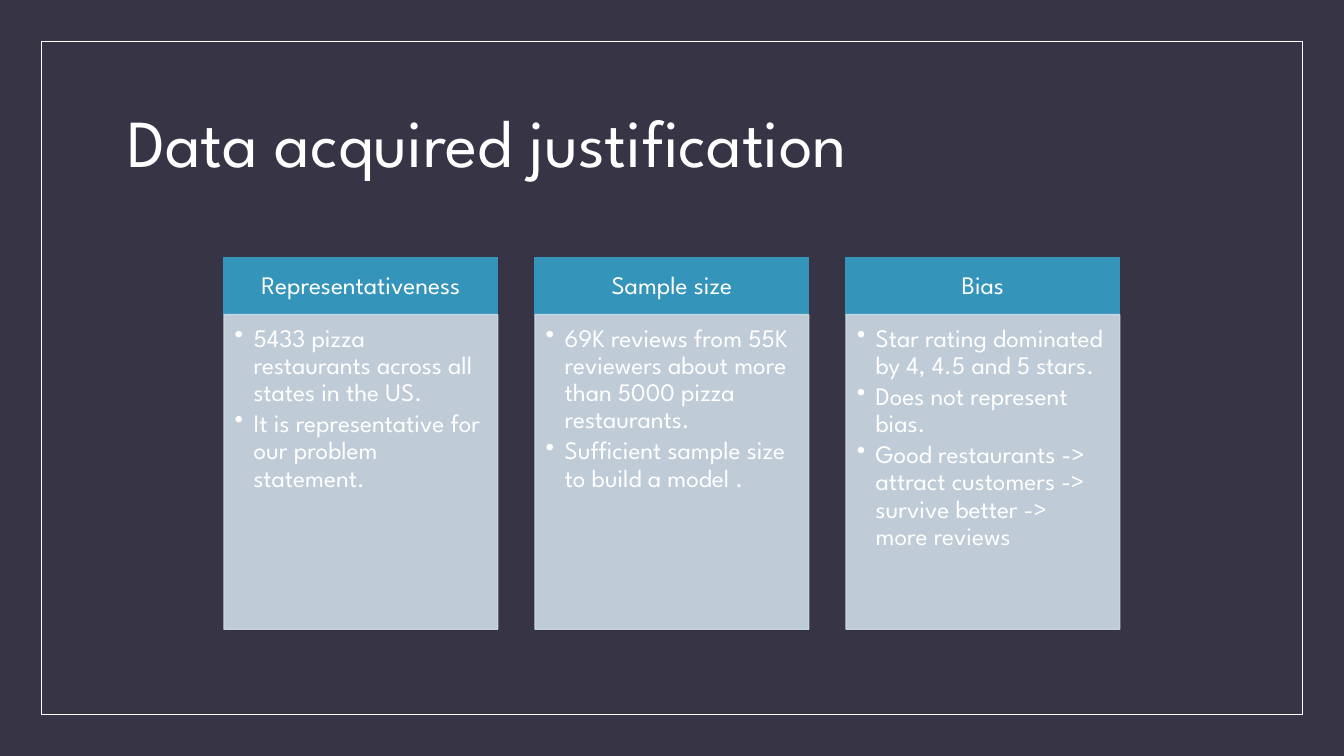
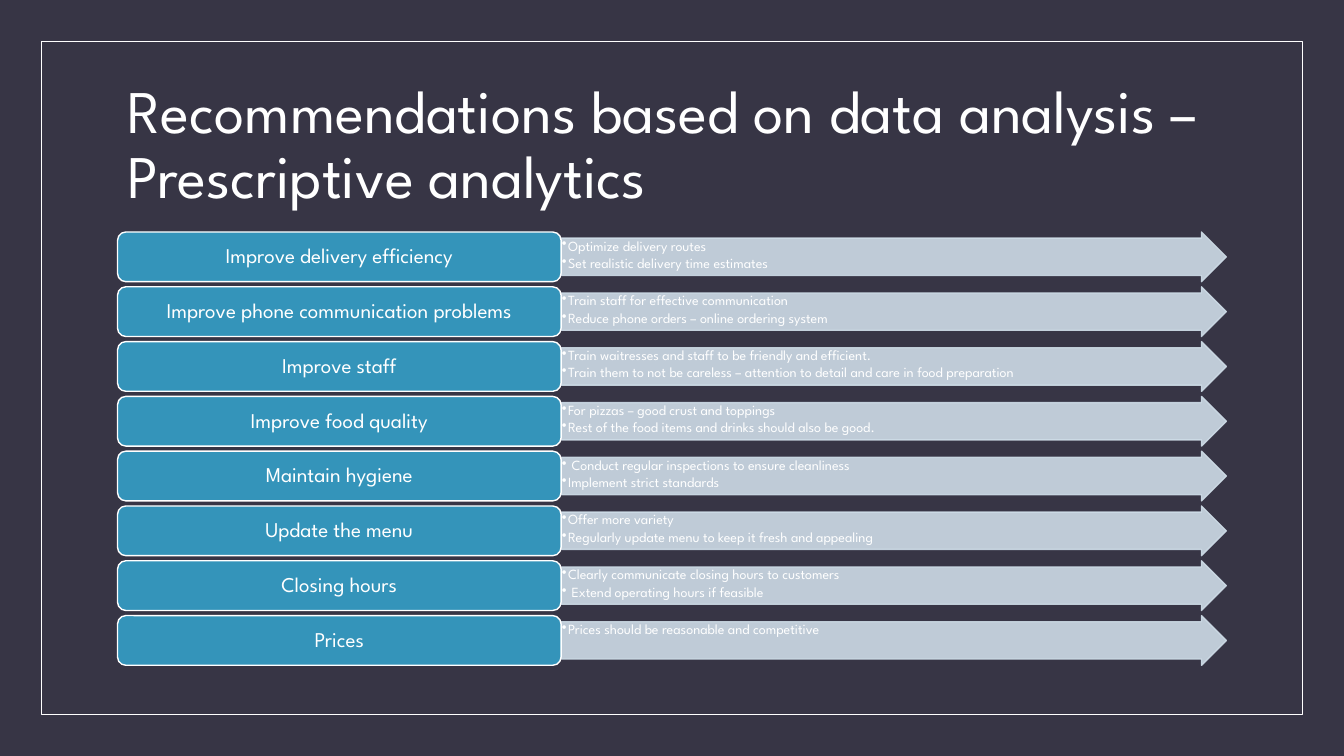
from dataclasses import dataclass

from lxml import etree
from pptx import Presentation
from pptx import util as u
from pptx.dml import color
from pptx.enum import shapes, text
from pptx.oxml import ns

Pt = u.Pt
SHAPE = shapes.MSO_SHAPE
MIDDLE = text.MSO_ANCHOR.MIDDLE
TOP = text.MSO_ANCHOR.TOP
LEFT = text.PP_ALIGN.LEFT
CENTER = text.PP_ALIGN.CENTER


@dataclass(frozen=True)
class Theme:
    font: str = "League Spartan"
    background: str = "373545"
    accent: str = "3494BA"
    pale: str = "CEDCE7"
    white: str = "FFFFFF"
    pale_opacity: int = 90
    title_size: float = 48
    long_title_size: float = 43.2
    card_size: float = 18
    label_size: float = 15
    detail_size: float = 10


def rgb(value):
    return color.RGBColor.from_string(value)


def apply(target, values):
    for name, value in values.items():
        setattr(target, name, value)


class Deck:
    width, height, margin = 960, 540, 29.5

    def __init__(self, theme):
        self.theme = theme
        self.presentation = Presentation()
        apply(self.presentation, {
            "slide_width": Pt(self.width), "slide_height": Pt(self.height)})
        self.slide = None

    def add_slide(self, title, size):
        layout = self.presentation.slide_layouts[6]
        self.slide = self.presentation.slides.add_slide(layout)
        background = self.slide.background.fill
        background.solid()
        background.fore_color.rgb = rgb(self.theme.background)
        margin = self.margin
        self.box(SHAPE.RECTANGLE, (margin, margin, self.width - 2 * margin,
                                   self.height - 2 * margin),
                 None, self.theme.white, line_width=0.5)
        title_box = self.slide.shapes.add_textbox(
            *map(Pt, (84, 50.4, 792, 108)))
        self.fill_text(title_box, [title], size, (7.2, 3.6, 7.2, 3.6),
                       anchor=MIDDLE)

    def box(self, kind, place, fill, line, line_width=1, opacity=100):
        shape = self.slide.shapes.add_shape(kind, *map(Pt, place))
        shape.shadow.inherit = False
        if fill:
            shape.fill.solid()
            shape.fill.fore_color.rgb = rgb(fill)
        else:
            shape.fill.background()
        shape.line.color.rgb = rgb(line)
        shape.line.width = Pt(line_width)
        if opacity < 100:
            for tint in shape._element.spPr.iter(ns.qn("a:srgbClr")):
                alpha = etree.SubElement(tint, ns.qn("a:alpha"))
                alpha.set("val", str(opacity * 1000))
        return shape

    def fill_text(self, shape, lines, size, insets, anchor=TOP, align=LEFT,
                  space=0, indent=0):
        frame = shape.text_frame
        sides = ("margin_left", "margin_top", "margin_right", "margin_bottom")
        apply(frame, dict(zip(sides, map(Pt, insets))))
        apply(frame, {"word_wrap": True, "vertical_anchor": anchor})
        for index, line in enumerate(lines):
            paragraph = frame.add_paragraph() if index else frame.paragraphs[0]
            apply(paragraph, {"alignment": align, "line_spacing": 0.9,
                              "space_after": Pt(space * size)})
            if indent:
                self.bullet(paragraph, indent)
            run = paragraph.add_run()
            run.text = line
            apply(run.font, {"name": self.theme.font, "size": Pt(size)})
            run.font.color.rgb = rgb(self.theme.white)

    def bullet(self, paragraph, indent):
        properties = paragraph._p.get_or_add_pPr()
        properties.set("marL", str(Pt(indent)))
        properties.set("indent", str(-Pt(indent)))
        mark = etree.SubElement(properties, ns.qn("a:buChar"))
        mark.set("char", "•")

    def label(self, kind, place, caption, size, insets, line):
        shape = self.box(kind, place, self.theme.accent, line)
        self.fill_text(shape, [caption], size, insets, MIDDLE, CENTER,
                       space=0.35)

    def details(self, kind, place, lines, size, insets, indent):
        shape = self.box(kind, place, self.theme.pale, self.theme.pale,
                         opacity=self.theme.pale_opacity)
        if kind == SHAPE.RIGHT_ARROW:
            shape.adjustments[0] = 0.75
        self.fill_text(shape, lines, size, insets, space=0.15, indent=indent)

    def card(self, left, caption, lines):
        top, width, header, body = 183.75, 195.5, 41, 224.75
        size = self.theme.card_size
        self.label(SHAPE.RECTANGLE, (left, top, width, header), caption, size,
                   (10.24, 5.85, 10.24, 5.85), self.theme.accent)
        self.details(SHAPE.RECTANGLE, (left, top + header, width, body), lines,
                     size, (7.68, 7.68, 10.24, 11.52), 13.5)

    def recommendation(self, top, caption, lines):
        left, label_width, arrow_width, height = 84, 316.8, 475.2, 35.5
        self.details(SHAPE.RIGHT_ARROW,
                     (left + label_width, top, arrow_width, height), lines,
                     self.theme.detail_size, (0.5,) * 4, 4.5)
        self.label(SHAPE.ROUNDED_RECTANGLE, (left, top, label_width, height),
                   caption, self.theme.label_size, (4.5, 2.25, 4.5, 2.25),
                   self.theme.white)


CARDS = [
    ("Representativeness", [
        "5433 pizza restaurants across all states in the US.",
        "It is representative for our problem statement."]),
    ("Sample size", [
        "69K reviews from 55K reviewers about more than 5000 pizza "
        "restaurants.",
        "Sufficient sample size to build a model ."]),
    ("Bias", [
        "Star rating dominated by 4, 4.5 and 5 stars.",
        "Does not represent bias.",
        "Good restaurants -> attract customers -> survive better -> "
        "more reviews"]),
]

RECOMMENDATIONS = [
    ("Improve delivery efficiency", [
        "Optimize delivery routes",
        "Set realistic delivery time estimates"]),
    ("Improve phone communication problems", [
        "Train staff for effective communication",
        "Reduce phone orders – online ordering system"]),
    ("Improve staff", [
        "Train waitresses and staff to be friendly and efficient.",
        "Train them to not be careless – attention to detail and care in "
        "food preparation"]),
    ("Improve food quality", [
        "For pizzas – good crust and toppings",
        "Rest of the food items and drinks should also be good."]),
    ("Maintain hygiene", [
        " Conduct regular inspections to ensure cleanliness",
        "Implement strict standards"]),
    ("Update the menu", [
        "Offer more variety",
        "Regularly update menu to keep it fresh and appealing"]),
    ("Closing hours", [
        "Clearly communicate closing hours to customers",
        " Extend operating hours if feasible"]),
    ("Prices", ["Prices should be reasonable and competitive"]),
]


def main():
    theme = Theme()
    deck = Deck(theme)

    deck.add_slide("Data acquired justification", theme.title_size)
    for index, (caption, lines) in enumerate(CARDS):
        deck.card(160 + index * 222.15, caption, lines)

    deck.add_slide("Recommendations based on data analysis – "
                   "Prescriptive analytics", theme.long_title_size)
    for index, (caption, lines) in enumerate(RECOMMENDATIONS):
        deck.recommendation(165.75 + index * 39.14, caption, lines)

    deck.presentation.save("out.pptx")


if __name__ == "__main__":
    main()
